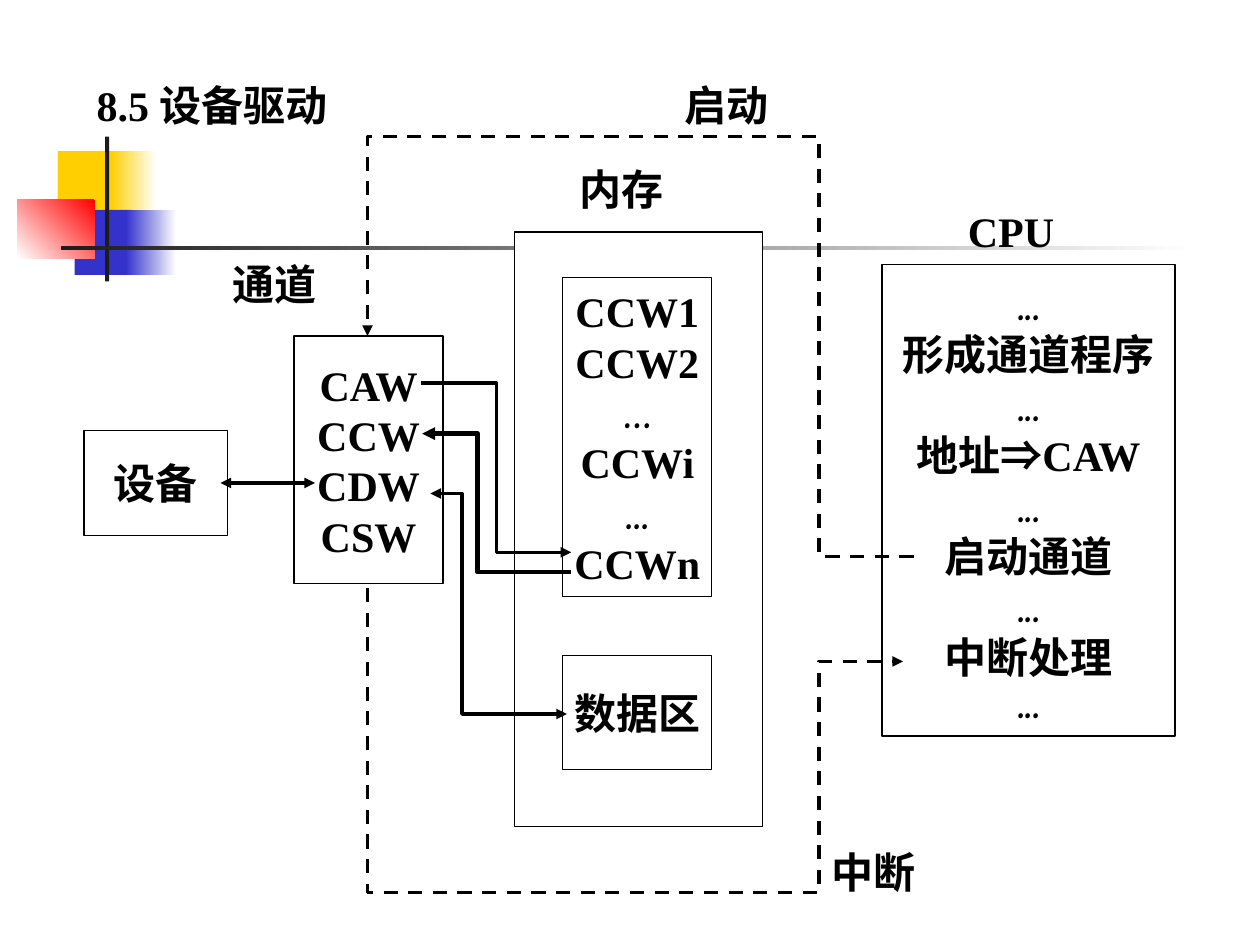
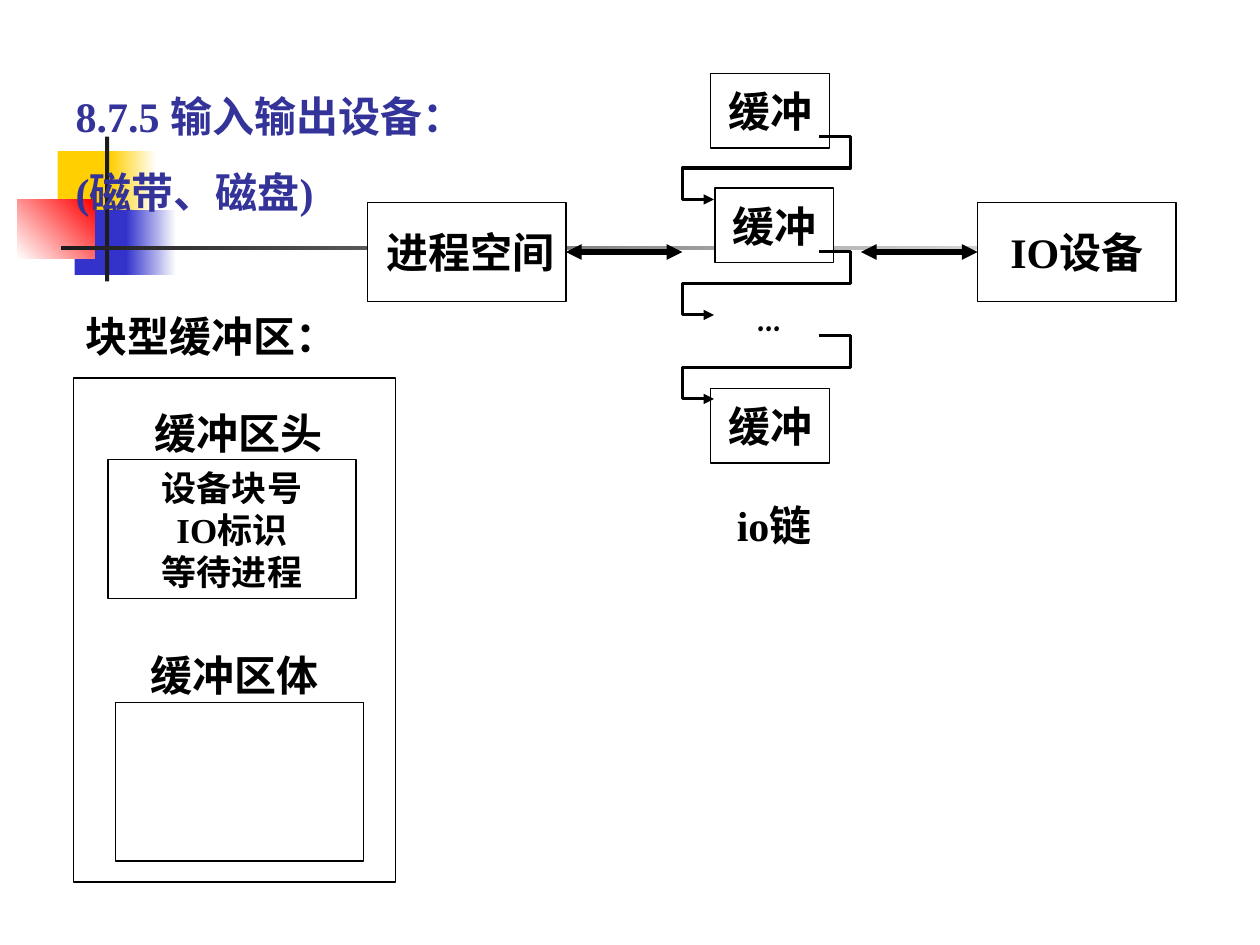
from lxml import etree
from pptx import Presentation
from pptx.dml.color import RGBColor
from pptx.enum.dml import MSO_LINE
from pptx.enum.shapes import MSO_CONNECTOR, MSO_SHAPE
from pptx.enum.text import MSO_ANCHOR, MSO_AUTO_SIZE, PP_ALIGN
from pptx.oxml.ns import qn
from pptx.util import Inches, Pt

RECTANGLE, STRAIGHT, DASH = MSO_SHAPE.RECTANGLE, MSO_CONNECTOR.STRAIGHT, MSO_LINE.DASH
LEFT, CENTER = PP_ALIGN.LEFT, PP_ALIGN.CENTER
TOP, MIDDLE, FIXED = MSO_ANCHOR.TOP, MSO_ANCHOR.MIDDLE, MSO_AUTO_SIZE.NONE
TITLE_ONLY, LEFT_SIDE, RIGHT_SIDE = 5, 1, 3

COLUMNS, ROWS = 120, 90
WIDTH, HEIGHT = Inches(10), Inches(7.5)
BLACK, WHITE, INDIGO = "000000", "FFFFFF", "333399"
YELLOW, BLUE, RED, CHARCOAL = "FFCF01", "3333CC", "FF0000", "1C1C1C"
BODY_FONT = "Times New Roman"
SYMBOL_FONTS = {"...": "Comic Neue", "…": "Comic Neue", "⇒": "Arial"}
INSETS = {"margin_left": Inches(0.1), "margin_right": Inches(0.1),
          "margin_top": Inches(0.05), "margin_bottom": Inches(0.05)}

DECORATION = [
    ((5.5, 14.4, 5.8, 6.2), [YELLOW], 0),
    ((10.5, 14.4, 4.4, 6.2), [WHITE, YELLOW], 180),
    ((7.1, 20, 5.5, 6.2), [BLUE], 0),
    ((12, 20, 4.8, 6.2), [WHITE, BLUE], 180),
    ((1.65, 19, 7.4, 5.6), [RED, WHITE], 225),
    ((10, 13, 0.4, 13.8), [CHARCOAL], 0),
    ((5.8, 23.4, 108, 0.4), [WHITE, CHARCOAL], 180),
]


def color(code):
    """Turn a hex string into a colour."""
    return RGBColor.from_string(code)


def point(column, row):
    """Turn grid columns and rows into slide lengths."""
    return round(WIDTH * column / COLUMNS), round(HEIGHT * row / ROWS)


def area(column, row, columns, rows):
    """Turn a grid area into left, top, width and height."""
    return point(column, row) + point(columns, rows)


def set_all(target, formats):
    """Set every attribute named in a dict of format values."""
    for name, value in formats.items():
        setattr(target, name, value)


def write(shape, lines, align=LEFT, size=24, ink=BLACK, before=0, spacing=None, **frame_formats):
    """Fill a shape with bold lines; a line is a string or a tuple of spans."""
    frame = shape.text_frame
    set_all(frame, {**INSETS, "auto_size": FIXED, "word_wrap": True,
                    "vertical_anchor": TOP, **frame_formats})
    for index, line in enumerate(lines):
        para = frame.add_paragraph() if index else frame.paragraphs[0]
        para_formats = {"alignment": align, "space_before": Pt(before if index else 0),
                        "line_spacing": (spacing or {}).get(index, 1.0)}
        set_all(para, para_formats)
        for text in (line,) if isinstance(line, str) else line:
            span = para.add_run()
            span.text = text
            set_all(span.font, {"name": SYMBOL_FONTS.get(text, BODY_FONT),
                                "size": Pt(size), "bold": True})
            span.font.color.rgb = color(ink)


def add_title(page, place, lines, **formats):
    """Move and fill the title placeholder."""
    title = page.shapes.title
    set_all(title, dict(zip(("left", "top", "width", "height"), area(*place))))
    write(title, lines, **formats)


def add_label(page, place, text, **formats):
    """Add a text box holding one line."""
    write(page.shapes.add_textbox(*area(*place)), [text], **formats)


def add_box(page, place, *lines, **formats):
    """Add a white outlined rectangle with centred lines."""
    box = page.shapes.add_shape(RECTANGLE, *area(*place))
    box.shadow.inherit = False
    box.fill.solid()
    box.fill.fore_color.rgb = color(WHITE)
    box.line.color.rgb = color(BLACK)
    box.line.width = Pt(0.75)
    if lines:
        write(box, lines, align=CENTER, word_wrap=False, vertical_anchor=MIDDLE, **formats)
    return box


def style_line(shape, weight, ends, dash=None):
    """Colour a line and put arrowheads on the named ends."""
    set_all(shape.line, {"width": Pt(weight), "dash_style": dash})
    shape.line.color.rgb = color(BLACK)
    outline = shape.element.spPr.find(qn("a:ln"))
    for end in ends:
        etree.SubElement(outline, qn(f"a:{end}End"), type="triangle")


def add_arrow(page, start, finish, weight, start_box=None, end_box=None):
    """Add a straight double arrow, joined to any given box."""
    arrow = page.shapes.add_connector(STRAIGHT, *point(*start), *point(*finish))
    if start_box is not None:
        arrow.begin_connect(start_box, RIGHT_SIDE)
    if end_box is not None:
        arrow.end_connect(end_box, LEFT_SIDE)
    style_line(arrow, weight, ("head", "tail"))
    etree.SubElement(arrow.element.spPr, qn("a:effectLst"))


def add_route(page, corners, weight=2, ends=("tail",), dash=None):
    """Add an open bent line through grid points."""
    points = [point(*corner) for corner in corners]
    builder = page.shapes.build_freeform(*points[0])
    builder.add_line_segments(points[1:], close=False)
    route = builder.convert_to_shape()
    route.shadow.inherit = False
    route.fill.background()
    style_line(route, weight, ends, dash)


def decorate(layout, page):
    """Draw the shared corner blocks and rules and hand them to the layout."""
    for place, colors, angle in DECORATION:
        block = page.shapes.add_shape(RECTANGLE, *area(*place))
        block.shadow.inherit = False
        block.line.fill.background()
        if len(colors) == 1:
            block.fill.solid()
            block.fill.fore_color.rgb = color(colors[0])
        else:
            block.fill.gradient()
            block.fill.gradient_angle = angle
            for stop, code in zip(block.fill.gradient_stops, colors):
                stop.color.rgb = color(code)
        layout.shapes.element.append(block.element)


def build_driver_page(page):
    """Show how the processor, memory, channel and device work together."""
    add_title(page, (8, 7, 105, 6), ["8.5 设备驱动"])
    add_box(page, (8, 41, 13.7, 10), "设备")
    add_box(page, (28, 32, 14.2, 23.6), "CAW", "CCW", "CDW", "CSW")
    add_box(page, (49, 22.1, 23.6, 56.6))
    add_box(page, (53.6, 26.4, 14.2, 30.4), "CCW1", "CCW2", "…", "CCWi", "...", "CCWn")
    add_box(page, (53.6, 62.4, 14.2, 10.9), "数据区")
    add_box(page, (84, 25.2, 27.9, 44.9), "...", "形成通道程序", "...", ("地址", "⇒", "CAW"),
            "...", "启动通道", "...", "中断处理", "...", spacing={0: 1.1, 8: 0.9})

    add_arrow(page, (21, 46), (30, 46), 2)
    add_route(page, [(54.4, 52.6), (47.3, 52.6), (47.3, 36.5), (40.1, 36.5)], ends=("head",))
    add_route(page, [(41, 47), (44, 47), (44, 68), (54, 68)], ends=("head", "tail"))
    add_route(page, [(54.4, 54.5), (45.5, 54.5), (45.5, 41.3), (40.2, 41.3)], weight=2.5)
    add_route(page, [(87, 53), (78, 53), (78, 13), (35, 13), (35, 32)], dash=DASH)
    add_route(page, [(35, 56), (35, 85), (78, 85), (78, 63), (86, 63)], dash=DASH)

    for text, column, row in (("启动", 64, 7), ("中断", 78, 80), ("内存", 54, 15),
                              ("CPU", 91, 19), ("通道", 21, 24)):
        add_label(page, (column, row, 13, 6), text)


def build_buffer_page(page):
    """Show the block buffer and the chain of buffers."""
    add_title(page, (6, 8, 48, 13.3), ["8.7.5 输入输出设备：", "(磁带、磁盘)"],
              ink=INDIGO, before=15)
    add_box(page, (7, 36, 30.7, 48))
    add_box(page, (10.3, 43.8, 23.6, 13.2), "设备块号", "IO标识", "等待进程", size=20)
    add_box(page, (11, 66.9, 23.6, 15.1))
    add_label(page, (12.7, 38.2, 20, 6), "缓冲区头", align=CENTER)
    add_label(page, (12.3, 61.3, 20, 6), "缓冲区体", align=CENTER)
    add_label(page, (7, 29, 27, 6), "块型缓冲区：")

    process = add_box(page, (35, 19.25, 18.9, 9.5), "进程空间", margin_left=Inches(0.16))
    device = add_box(page, (93.1, 19.25, 18.9, 9.5), "IO设备")
    add_arrow(page, (54, 24), (65, 24), 3, start_box=process)
    add_arrow(page, (82, 24), (93, 24), 3, end_box=device)

    for column, row in ((67.7, 7), (68.1, 17.9), (67.7, 37)):
        add_box(page, (column, row, 11.3, 7.1), "缓冲")
    for row in (13, 24, 32):
        add_route(page, [(78, row), (81, row), (81, row + 3), (65, row + 3),
                         (65, row + 6), (68, row + 6)], weight=1.75)
    add_label(page, (71, 27, 7, 6), "...")
    add_label(page, (69, 47, 12, 6), "io链")


def main():
    """Build and save the deck."""
    deck = Presentation()
    deck.slide_width, deck.slide_height = WIDTH, HEIGHT
    layout = deck.slide_layouts[TITLE_ONLY]
    driver_page, buffer_page = (deck.slides.add_slide(layout) for _ in range(2))
    decorate(layout, driver_page)
    build_driver_page(driver_page)
    build_buffer_page(buffer_page)
    deck.save("out.pptx")


if __name__ == "__main__":
    main()
